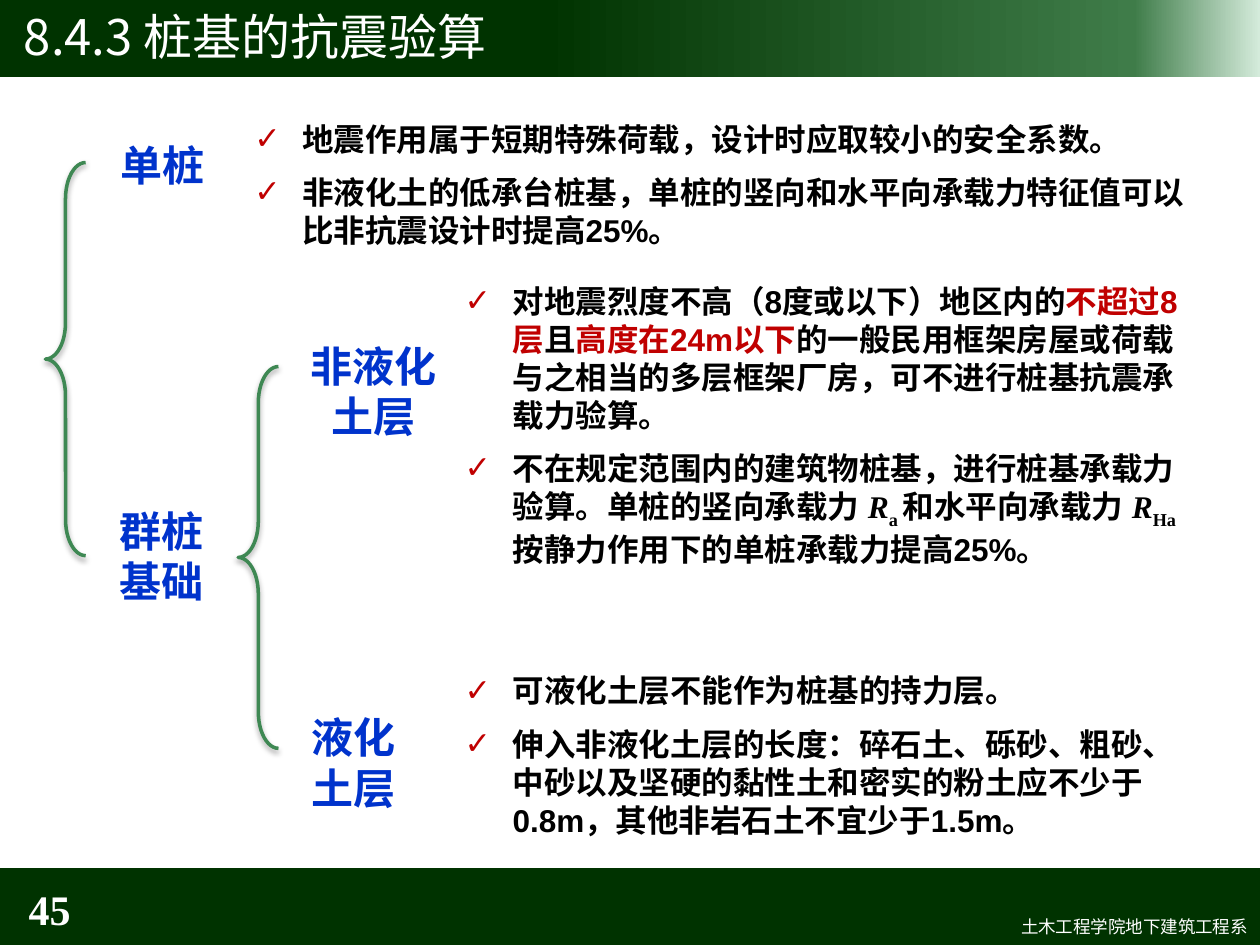
from lxml.etree import SubElement
from pptx import Presentation
from pptx.dml.color import RGBColor
from pptx.enum.shapes import MSO_SHAPE as Shape
from pptx.enum.text import MSO_ANCHOR as Anchor, PP_ALIGN as Align
from pptx.oxml import parse_xml
from pptx.oxml.ns import nsdecls, qn
from pptx.util import Inches, Pt

DARK = RGBColor(0x00, 0x33, 0x00)
GREEN = RGBColor(0x3E, 0x88, 0x53)
BLUE = RGBColor(0x00, 0x33, 0xCC)
RED = RGBColor(0xC0, 0x00, 0x00)
BLACK = RGBColor(0, 0, 0)
WHITE = RGBColor(0xFF, 0xFF, 0xFF)
CJK, SANS, SERIF = "Noto Sans CJK SC", "Arial", "Times New Roman"

TITLE = "8.4.3 桩基的抗震验算"
FOOTER = "土木工程学院地下建筑工程系"
PAGE_NUMBER = "45"
BAND_STOPS = [(43, "003300"), (90, "3F7C49"), (100, "D4EBDB")]

# Span formats
BODY = dict(size=Pt(18), bold=True, name=SANS, color=BLACK)
KEY = BODY | dict(color=RED)
SYMBOL = BODY | dict(name=SERIF, italic=True)
INDEX = BODY | dict(name=SERIF, baseline=-25000)
LABEL = dict(size=Pt(24), bold=True, name=SANS, color=BLUE)

# Left, top, width, height in inches
BRACES = [(0.36, 1.29, 0.32, 3.12), (1.89, 2.91, 0.32, 3.03)]
LABELS = [
    ("单桩", (0.86, 1.06, 0.88, 0.5), Align.LEFT),
    ("群桩基础", (0.85, 3.96, 0.88, 0.91), Align.LEFT),
    ("非液化土层", (2.34, 2.65, 1.25, 0.91), Align.CENTER),
    ("液化土层", (2.37, 5.6, 0.91, 0.91), Align.LEFT),
]
NOTES = [
    ((1.92, 0.9, 7.67, 1.16), [
        [("地震作用属于短期特殊荷载，设计时应取较小的安全系数。", BODY)],
        [("非液化土的低承台桩基，单桩的竖向和水平向承载力特征值可以"
          "比非抗震设计时提高25%。", BODY)],
    ]),
    ((3.59, 2.19, 6, 2.37), [
        [("对地震烈度不高（8度或以下）地区内的", BODY),
         ("不超过8层", KEY),
         ("且", BODY),
         ("高度在24m以下", KEY),
         ("的一般民用框架房屋或荷载与之相当的多层框架厂房，"
          "可不进行桩基抗震承载力验算。", BODY)],
        [("不在规定范围内的建筑物桩基，进行桩基承载力验算。"
          "单桩的竖向承载力 ", BODY),
         ("R", SYMBOL), ("a ", INDEX),
         ("和水平向承载力 ", BODY),
         ("R", SYMBOL), ("Ha ", INDEX),
         ("按静力作用下的单桩承载力提高25%。", BODY)],
    ]),
    ((3.59, 5.28, 6, 1.92), [
        [("可液化土层不能作为桩基的持力层。", BODY)],
        [("伸入非液化土层的长度：碎石土、砾砂、粗砂、中砂以及坚硬的"
          "黏性土和密实的粉土应不少于0.8m，其他非岩石土不宜少于1.5m。", BODY)],
    ]),
]


def inches(place):
    return [Inches(value) for value in place]


def add_span(para, text, look):
    span = para.add_run()
    span.text = text
    for key, value in look.items():
        if key == "color":
            span.font.color.rgb = value
        elif key == "baseline":
            span.font._element.set("baseline", str(value))
        else:
            setattr(span.font, key, value)
    SubElement(span.font._element, qn("a:ea"), typeface=look["name"])


def add_bullet(para):
    """Give the paragraph a red tick and a hanging indent."""
    props = para._p.get_or_add_pPr()
    props.set("marL", str(Inches(0.38)))
    props.set("indent", str(-Inches(0.38)))
    color = SubElement(props, qn("a:buClr"))
    SubElement(color, qn("a:srgbClr"), val=str(RED))
    SubElement(props, qn("a:buFont"), typeface=SANS)
    SubElement(props, qn("a:buChar"), char="✓")


def fill_frame(frame, paragraphs, align=Align.LEFT, anchor=Anchor.TOP, bullets=False):
    frame.word_wrap = True
    frame.vertical_anchor = anchor
    for index, spans in enumerate(paragraphs):
        para = frame.add_paragraph() if index else frame.paragraphs[0]
        para.alignment = align
        para.space_before = Pt(9 if index else 0)
        if bullets:
            add_bullet(para)
        for text, look in spans:
            add_span(para, text, look)


def add_text(slide, place, paragraphs, **layout):
    box = slide.shapes.add_textbox(*inches(place))
    fill_frame(box.text_frame, paragraphs, **layout)


def add_band(slide, top, stops=None):
    band = slide.shapes.add_shape(Shape.RECTANGLE, *inches((0, top, 10, 0.64)))
    band.shadow.inherit = False
    band.line.fill.background()
    band.fill.solid()
    band.fill.fore_color.rgb = DARK
    if stops:
        marks = "".join(f'<a:gs pos="{pos * 1000}"><a:srgbClr val="{color}"/></a:gs>'
                        for pos, color in stops)
        gradient = parse_xml(f'<a:gradFill {nsdecls("a")}><a:gsLst>{marks}</a:gsLst>'
                             '<a:lin ang="0" scaled="0"/></a:gradFill>')
        props = band._element.spPr
        props.replace(props.find(qn("a:solidFill")), gradient)


def add_brace(slide, place):
    brace = slide.shapes.add_shape(Shape.LEFT_BRACE, *inches(place))
    brace.adjustments[0], brace.adjustments[1] = 0.9, 0.5
    brace.fill.background()
    brace.line.color.rgb = GREEN
    brace.line.width = Pt(2)
    brace._element.spPr.append(parse_xml(
        f'<a:effectLst {nsdecls("a")}><a:outerShdw blurRad="{Pt(3.1)}" dist="{Pt(1.8)}" '
        'dir="5400000" rotWithShape="0"><a:srgbClr val="000000"><a:alpha val="35000"/>'
        '</a:srgbClr></a:outerShdw></a:effectLst>'))


def add_title(slide):
    title = slide.shapes.title
    title.left, title.top, title.width, title.height = inches((0, -0.03, 10, 0.63))
    title.text_frame.margin_left = Inches(0.19)
    look = dict(size=Pt(28), name=CJK, color=WHITE)
    fill_frame(title.text_frame, [[(TITLE, look)]], anchor=Anchor.MIDDLE)
    slide.shapes._spTree.append(title._element)  # in front of the band


def main():
    deck = Presentation()
    deck.slide_width, deck.slide_height = Inches(10), Inches(7.5)
    slide = deck.slides.add_slide(deck.slide_layouts[5])

    add_band(slide, -0.03, BAND_STOPS)
    add_band(slide, 6.89)
    add_title(slide)
    add_text(slide, (4.21, 7.22, 5.79, 0.27),
             [[(FOOTER, dict(size=Pt(10), name=CJK, color=WHITE))]], align=Align.RIGHT)
    number_look = dict(size=Pt(24), bold=True, name=SERIF, color=WHITE)
    add_text(slide, (0, 7.01, 0.66, 0.4), [[(PAGE_NUMBER, number_look)]],
             align=Align.RIGHT, anchor=Anchor.MIDDLE)

    for place in BRACES:
        add_brace(slide, place)
    for text, place, align in LABELS:
        add_text(slide, place, [[(text, LABEL)]], align=align)
    for place, paragraphs in NOTES:
        add_text(slide, place, paragraphs, bullets=True)
    deck.save("out.pptx")


if __name__ == "__main__":
    main()
